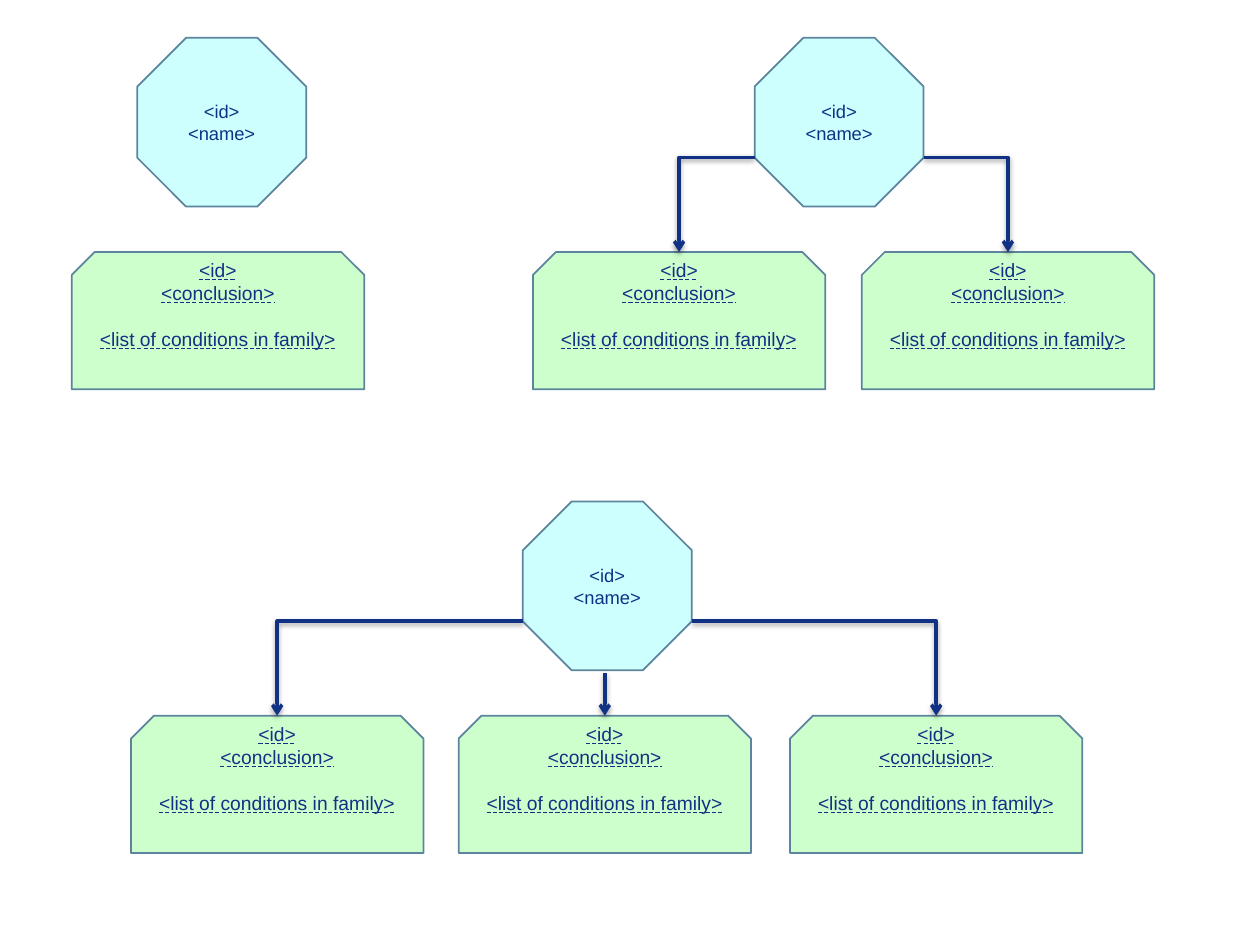
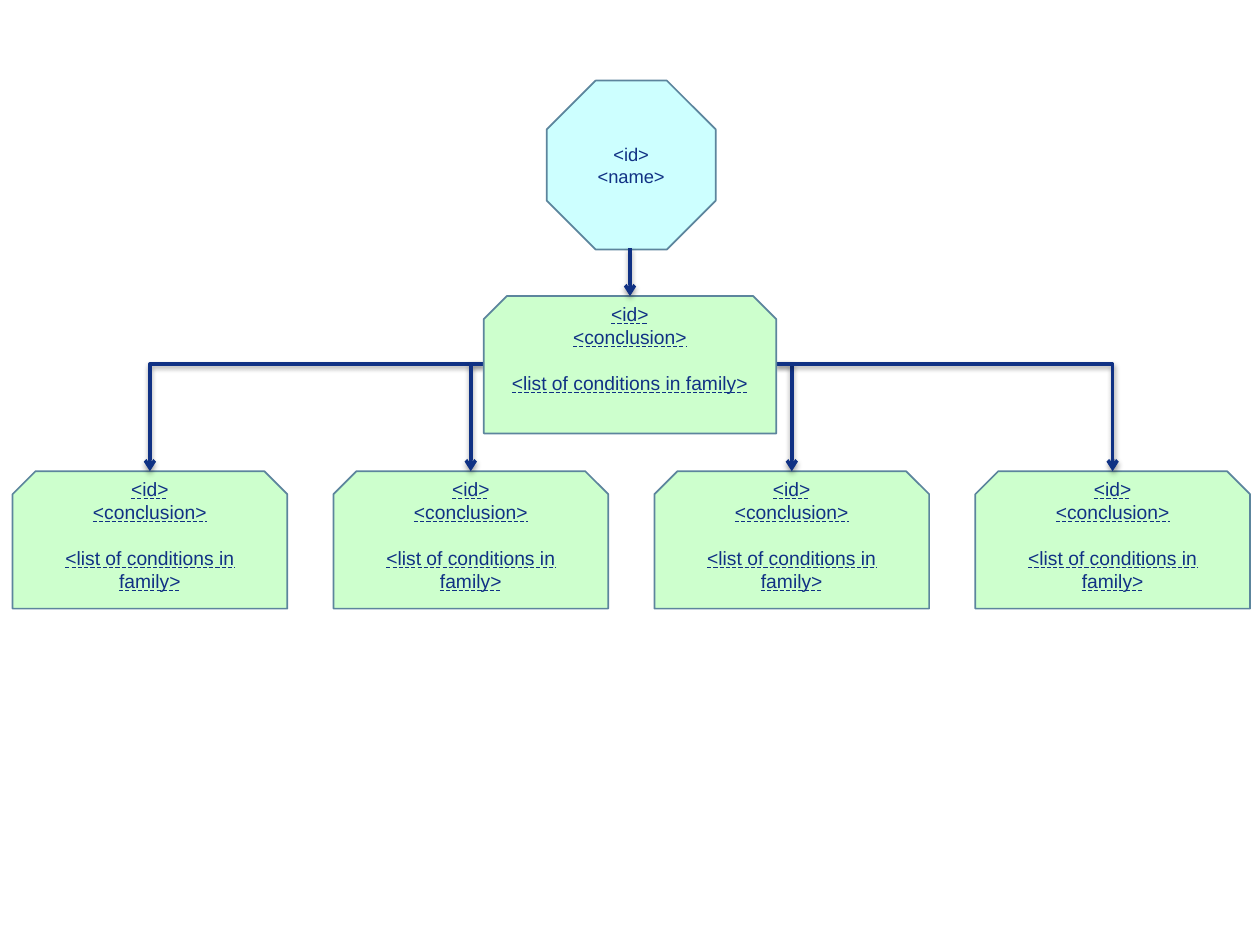
from lxml import etree
from pptx import Presentation
from pptx.dml.color import RGBColor as RGB
from pptx.enum.shapes import MSO_CONNECTOR as Conn, MSO_SHAPE as Form
from pptx.enum.text import MSO_ANCHOR as Anchor, MSO_UNDERLINE as Under, PP_ALIGN as Align
from pptx.oxml.ns import nsdecls, qn
from pptx.util import Inches, Pt

INK = RGB.from_string("103184")
THEME = {
    "edge": RGB.from_string("5C859D"),
    "edge_width": Pt(1),
    "link_width": Pt(2),
    "node": {
        "form": Form.OCTAGON,
        "high": 1.34,
        "fill": RGB.from_string("CDFFFF"),
        "font": {"name": "Arial", "size": Pt(10.5)},
        "frame": {"margin_left": 0, "margin_right": 0, "margin_top": Inches(0.04),
                  "margin_bottom": Inches(0.04), "vertical_anchor": Anchor.MIDDLE},
        "lines": ["<id>", "<name>"],
    },
    "card": {
        "form": Form.SNIP_2_SAME_RECTANGLE,
        "high": 1.09,
        "fill": RGB.from_string("CDFFCD"),
        "font": {"name": "Arial", "size": Pt(11), "underline": Under.DASH_LINE},
        "frame": {"vertical_anchor": Anchor.TOP, "word_wrap": True},
        "lines": ["<id>", "<conclusion>", "<list of conditions in family>"],
    },
}
NODE, CARD, LEAF = 1.34, 2.32, 2.18   # widths
PORT = 0.95                           # lower side corner of a node, below its top
DROP = 1.7                            # node top to card top
SHADOW = f"""<a:effectLst {nsdecls('a')}>
  <a:outerShdw blurRad="40000" dist="20000" dir="5400000" rotWithShape="0">
    <a:srgbClr val="000000"><a:alpha val="38000"/></a:srgbClr>
  </a:outerShdw></a:effectLst>"""


def put(page, role, x, y, wide):
    """Draw a node, or a card grouped with its text box."""
    look = THEME[role]
    home = page.shapes.add_group_shape().shapes if role == "card" else page.shapes
    shape = home.add_shape(look["form"], Inches(x), Inches(y), Inches(wide), Inches(look["high"]))
    shape.shadow.inherit = False
    shape.fill.solid()
    shape.fill.fore_color.rgb = look["fill"]
    shape.line.color.rgb = THEME["edge"]
    shape.line.width = THEME["edge_width"]
    if role == "card":
        label = home.add_textbox(Inches(x + 0.11), Inches(y), Inches(wide - 0.22), Inches(0.84))
    else:
        shape.adjustments[0] = 0.289
        label = shape
    frame = label.text_frame
    for key, value in look["frame"].items():
        setattr(frame, key, value)
    for i, line in enumerate(look["lines"]):
        para = frame.paragraphs[0] if i == 0 else frame.add_paragraph()
        para.text = line
        para.alignment = Align.CENTER
        if i == 2:
            para.space_before = Pt(13)
        for key, value in look["font"].items():
            setattr(para.font, key, value)
        para.font.color.rgb = INK


def link(page, x1, y1, x2, y2):
    """Draw an arrow: straight down, or sideways first and then down."""
    kind = Conn.STRAIGHT if x1 == x2 else Conn.ELBOW
    line = page.shapes.add_connector(kind, Inches(x1), Inches(y1), Inches(x2), Inches(y2))
    line.line.color.rgb = INK
    line.line.width = THEME["link_width"]
    props = line._element.spPr
    if kind == Conn.ELBOW:
        props.find(qn("a:prstGeom")).set("prst", "bentConnector2")
    etree.SubElement(props.find(qn("a:ln")), qn("a:tailEnd"), type="arrow")
    props.append(etree.fromstring(SHADOW))


deck = Presentation()
deck.slide_width, deck.slide_height = Inches(10), Inches(7.5)
blank = deck.slide_layouts[6]

# Slide 1: a node with one, two and three cards
page = deck.slides.add_slide(blank)
trees = [
    (1.09, 0.3, [0.57], False),
    (5.99, 0.3, [4.23, 6.84], True),
    (4.15, 3.98, [1.04, 3.64, 6.27], True),
]
for x, y, cards, linked in trees:
    put(page, "node", x, y, NODE)
    for left in cards:
        put(page, "card", left, y + DROP, CARD)
        mid = left + CARD / 2
        if not linked:
            continue
        if x < mid < x + NODE:
            link(page, mid, y + NODE + 0.02, mid, y + DROP)
        else:
            side = x if mid < x else x + NODE
            link(page, side, y + PORT, mid, y + DROP)

# Slide 2: a node, its card and four leaves
page = deck.slides.add_slide(blank)
top, row, root = 2.35, 3.74, 3.84
put(page, "node", 4.34, 0.64, NODE)
for i in range(4):
    left = 0.1 + i * 2.547
    put(page, "card", left, row, LEAF)
    side = root if i < 2 else root + CARD
    link(page, side, 2.89, left + LEAF / 2, row)
put(page, "card", root, top, CARD)
link(page, 5, 1.97, 5, top)

deck.save("out.pptx")
